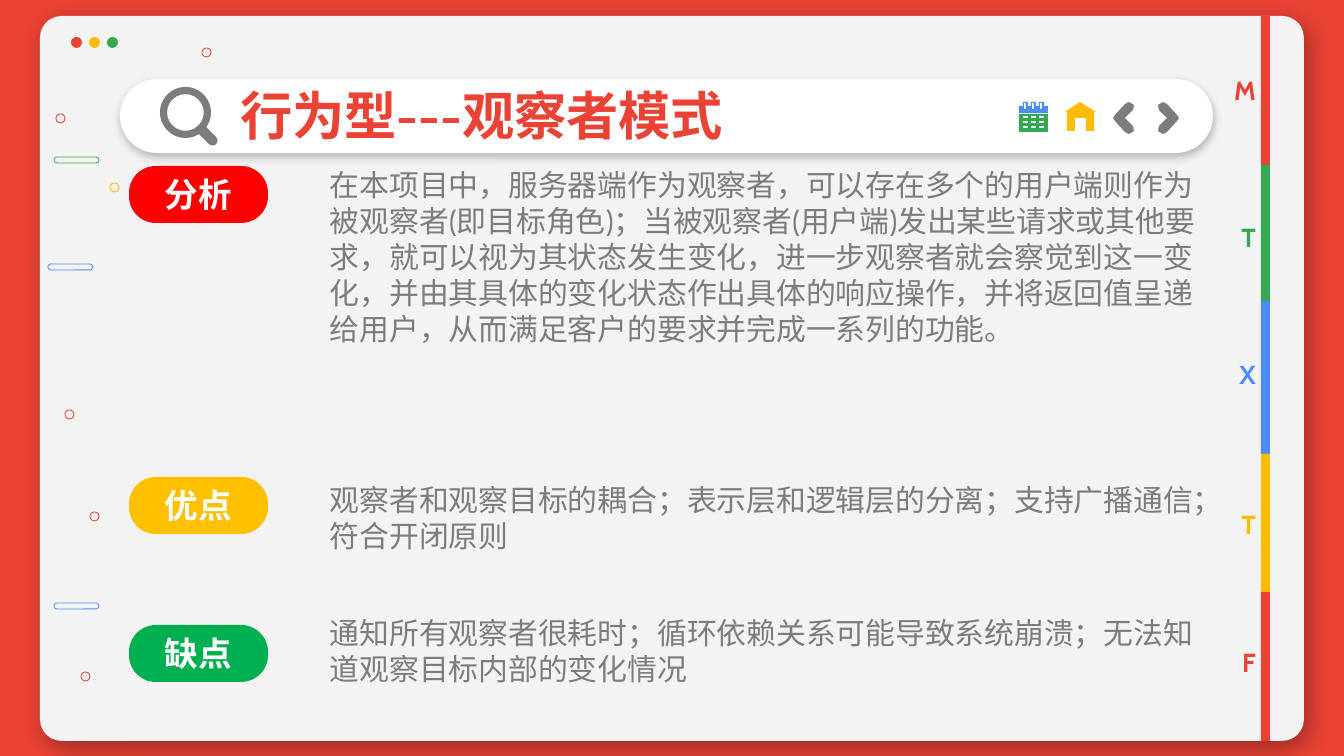
"""Build the observer pattern slide."""
import lxml.etree
import pptx
import pptx.dml.color
import pptx.enum.shapes
import pptx.enum.text
import pptx.oxml.ns
import pptx.util

RGB = pptx.dml.color.RGBColor
KIND = pptx.enum.shapes.MSO_SHAPE
ALIGN = pptx.enum.text.PP_ALIGN
RED = RGB(0xEA, 0x43, 0x35)
YELLOW = RGB(0xFB, 0xBC, 0x05)
GREEN = RGB(0x34, 0xA8, 0x53)
BLUE = RGB(0x4D, 0x8C, 0xF5)
GRAY = RGB(0x7C, 0x7C, 0x7C)
PAPER = RGB(0xF3, 0xF3, 0xF3)
WHITE = RGB(0xFF, 0xFF, 0xFF)
BLACK = RGB(0, 0, 0)
PURE = RGB(0xFF, 0, 0)
AMBER = RGB(0xFF, 0xC0, 0)
LEAF = RGB(0, 0xB0, 0x50)
SCALE = 914400 / 134.4


def px(n):
    return pptx.util.Emu(round(n * SCALE))


def tag(name):
    return pptx.oxml.ns.qn("a:" + name)


class Page:
    font = "Cabin"
    inset = 13
    thin = pptx.util.Pt(0.44)

    def __init__(self, slide):
        self.slide = slide

    def paint(self, shape, fill, line=None):
        shape.shadow.inherit = False
        if fill is None:
            shape.fill.background()
        else:
            shape.fill.solid()
            shape.fill.fore_color.rgb = fill
        if line is None:
            shape.line.fill.background()
        else:
            shape.line.color.rgb = line
            shape.line.width = self.thin
        return shape

    def shape(self, kind, box, fill=None, line=None, bend=None):
        shape = self.slide.shapes.add_shape(kind, *map(px, box))
        if bend is not None:
            shape.adjustments[0] = bend
        return self.paint(shape, fill, line)

    def shade(self, shape, color, alpha, blur, dist, angle):
        effects = shape.element.spPr.find(tag("effectLst"))
        outer = lxml.etree.SubElement(
            effects, tag("outerShdw"), blurRad=str(pptx.util.Pt(blur)),
            dist=str(pptx.util.Pt(dist)), dir=str(angle * 60000),
            algn="bl", rotWithShape="0")
        tint = lxml.etree.SubElement(outer, tag("srgbClr"), val=str(color))
        lxml.etree.SubElement(tint, tag("alpha"), val=str(alpha * 1000))

    def outline(self, rings, fill):
        pen = self.slide.shapes.build_freeform(*rings[0][0], scale=SCALE)
        pen.add_line_segments(rings[0][1:])
        for ring in rings[1:]:
            pen.move_to(*ring[0])
            pen.add_line_segments(ring[1:])
        self.paint(pen.convert_to_shape(), fill)

    def label(self, shape, text, size, color, bold=True, align=ALIGN.LEFT):
        frame = shape.text_frame
        frame.word_wrap = True
        frame.auto_size = pptx.enum.text.MSO_AUTO_SIZE.NONE
        frame.vertical_anchor = pptx.enum.text.MSO_ANCHOR.MIDDLE
        frame.margin_left = frame.margin_right = px(self.inset)
        frame.margin_top = frame.margin_bottom = px(self.inset)
        line = frame.paragraphs[0]
        line.alignment = align
        run = line.add_run()
        run.text = text
        run.font.name = self.font
        run.font.size = pptx.util.Pt(size)
        run.font.bold = bold
        run.font.color.rgb = color
        for style in list(shape.element.iter(tag("rPr"))):
            lxml.etree.SubElement(style, tag("ea"), typeface=self.font)

    def text(self, box, *style):
        self.label(self.slide.shapes.add_textbox(*map(px, box)), *style)

    def title(self, box, *style):
        shape = self.slide.shapes.title
        shape.left, shape.top, shape.width, shape.height = map(px, box)
        self.label(shape, *style)
        shape.element.getparent().append(shape.element)


def rect(x, y, w, h):
    return [(x, y), (x + w, y), (x + w, y + h), (x, y + h), (x, y)]


def frame(page):
    card = page.shape(KIND.ROUNDED_RECTANGLE, (40, 16, 1264, 725), PAPER, bend=0.03)
    page.shade(card, BLACK, 32, 12.4, 5.2, 57)
    for x, y, color in ((90, 512, RED), (110, 183, YELLOW), (56, 114, RED),
                        (81, 672, RED), (65, 410, RED), (202, 48, RED)):
        page.shape(KIND.OVAL, (x, y, 9, 9), line=color)
    for x, y, color in ((48, 264, BLUE), (54, 603, BLUE), (54, 157, GREEN)):
        page.shape(KIND.ROUNDED_RECTANGLE, (x, y, 45, 6), line=color, bend=0.5)
    for i, color in enumerate((RED, YELLOW, GREEN)):
        page.shape(KIND.OVAL, (71 + 18 * i, 37, 11, 11), color)


def search(page):
    bar = page.shape(KIND.ROUNDED_RECTANGLE, (120, 79, 1093, 74), WHITE, bend=0.5)
    page.shade(bar, GRAY, 50, 4.5, 1.5, 90)
    page.shape(KIND.DONUT, (160, 87, 51, 51), GRAY, bend=0.14)
    grip = page.shape(KIND.ROUNDED_RECTANGLE, (194, 130, 26, 10), GRAY, bend=0.5)
    grip.rotation = 45
    page.title((227, 78, 952, 74), "行为型---观察者模式", 28, RED)


def tabs(page):
    for top, end, color, mark, y in (
            (16, 165, RED, "M", 69), (165, 301, GREEN, "T", 216),
            (301, 454, BLUE, "X", 353), (454, 592, YELLOW, "T", 503),
            (592, 741, RED, "F", 641)):
        page.shape(KIND.RECTANGLE, (1261, top, 9, end - top), color)
        page.text((1204, y, 65, 42), mark, 14, color, True, ALIGN.RIGHT)


def icons(page):
    cols = (1023, 1031, 1039)
    cells = [rect(x, y, 5, 2) for y in (116, 121, 126) for x in cols]
    page.outline([rect(1019, 114, 29, 18)] + cells, GREEN)
    edge = [(1019, 106)]
    for x in cols:
        edge += [(x, 106), (x, 102), (x + 5, 102), (x + 5, 106)]
    edge += [(1048, 106), (1048, 113), (1019, 113), (1019, 106)]
    page.outline([edge] + [rect(x + 1, 103, 2, 6) for x in cols], BLUE)
    page.outline([[(1080, 102), (1065, 112), (1067, 112), (1067, 131),
                   (1075, 131), (1075, 118), (1086, 118), (1086, 131),
                   (1094, 131), (1094, 112), (1096, 112), (1080, 102)]], YELLOW)
    arrow = [(1163, 102), (1167, 104), (1177, 115), (1179, 118), (1177, 121),
             (1167, 132), (1163, 134), (1158, 131), (1159, 126), (1167, 118),
             (1159, 110), (1158, 105), (1163, 102)]
    page.outline([arrow], GRAY)
    page.outline([[(2292 - x, y) for x, y in arrow]], GRAY)


def points(page):
    for y, name, color, top, high, text in (
            (166, "分析", PURE, 145, 223,
             "在本项目中，服务器端作为观察者，可以存在多个的用户端则作为"
             "被观察者(即目标角色)；当被观察者(用户端)发出某些请求或其"
             "他要求，就可以视为其状态发生变化，进一步观察者就会察觉到这"
             "一变化，并由其具体的变化状态作出具体的响应操作，并将返回值"
             "呈递给用户，从而满足客户的要求并完成一系列的功能。"),
            (477, "优点", AMBER, 473, 89,
             "观察者和观察目标的耦合；表示层和逻辑层的分离；支持广播通"
             "信；符合开闭原则"),
            (625, "缺点", LEAF, 618, 65,
             "通知所有观察者很耗时；循环依赖关系可能导致系统崩溃；无法知"
             "道观察目标内部的变化情况")):
        pill = page.shape(KIND.ROUNDED_RECTANGLE, (129, y, 139, 57), color, bend=0.47)
        page.label(pill, name, 18, WHITE, True, ALIGN.CENTER)
        page.text((317, top, 895, high), text, 16, GRAY, False)


def main():
    deck = pptx.Presentation()
    deck.slide_width, deck.slide_height = px(1344), px(756)
    slide = deck.slides.add_slide(deck.slide_layouts[5])
    slide.background.fill.solid()
    slide.background.fill.fore_color.rgb = RED
    page = Page(slide)
    for part in (frame, search, tabs, icons, points):
        part(page)
    deck.save("out.pptx")


if __name__ == "__main__":
    main()
